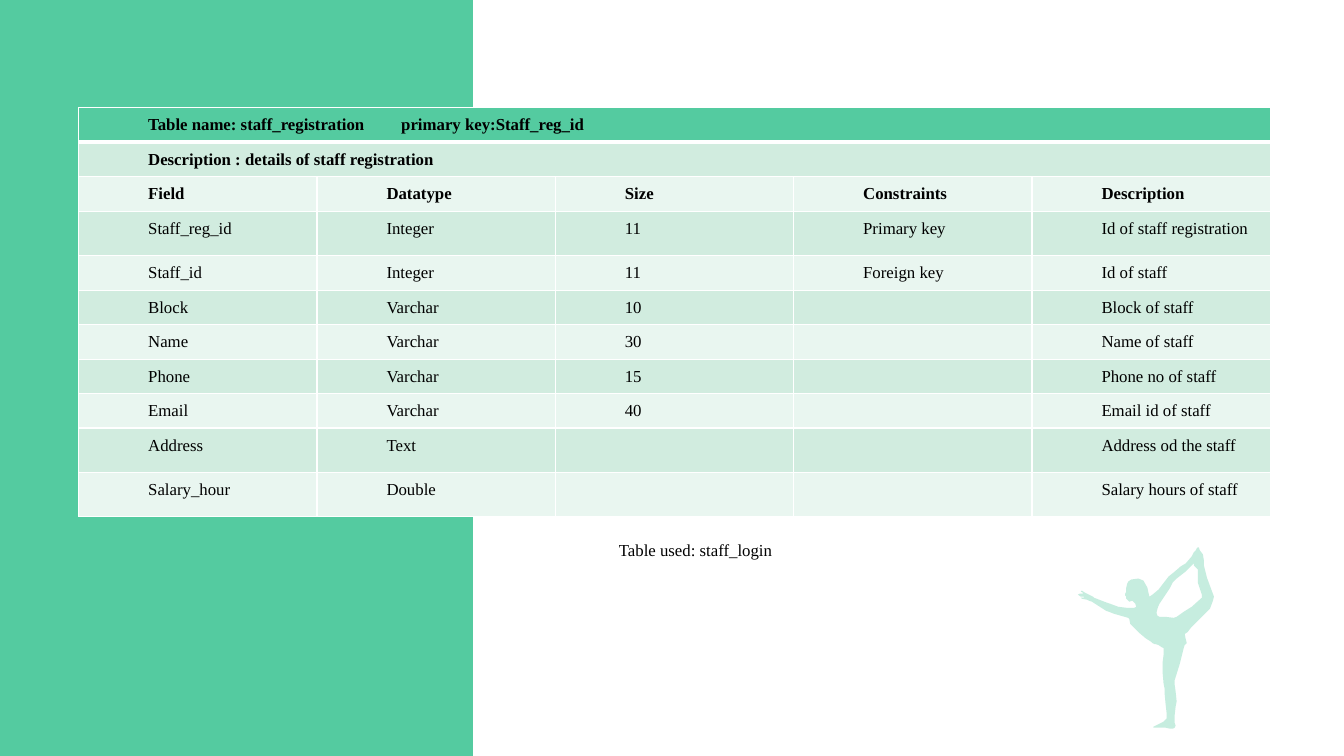
from dataclasses import dataclass

from lxml import etree
from pptx import Presentation
from pptx.dml.color import RGBColor
from pptx.enum import shapes, text
from pptx.oxml.ns import qn
from pptx.util import Inches, Pt

COLORS = {"green": "54CBA0", "band": "D1ECDF", "pale": "E9F6F0",
          "white": "FFFFFF", "ink": "000000"}
FONT = "Times New Roman"


@dataclass
class Field:
    name: str
    datatype: str
    size: str
    constraint: str
    description: str
    height: float
    bold: bool = False

    def values(self) -> list[str]:
        return [self.name, self.datatype, self.size, self.constraint, self.description]


LEFT, TOP, WIDTH, HEIGHT = 0.78, 1.07, 11.82, 4.06
TALL = 0.44
SHORT = (HEIGHT - 3 * TALL) / 8
FIELDS = [
    Field("Field", "Datatype", "Size", "Constraints", "Description", SHORT, True),
    Field("Staff_reg_id", "Integer", "11", "Primary key", "Id of staff registration", TALL),
    Field("Staff_id", "Integer", "11", "Foreign key", "Id of staff", SHORT),
    Field("Block", "Varchar", "10", "", "Block of staff", SHORT),
    Field("Name", "Varchar", "30", "", "Name of staff", SHORT),
    Field("Phone", "Varchar", "15", "", "Phone no of staff", SHORT),
    Field("Email", "Varchar", "40", "", "Email id of staff", SHORT),
    Field("Address", "Text", "", "", "Address od the staff", TALL),
    Field("Salary_hour", "Double", "", "", "Salary hours of staff", TALL),
]
BANNERS = ["Table name: staff_registration\tprimary key:Staff_reg_id",
           "Description : details of staff registration"]

# Dancer outline and the gap inside the raised leg, in hundredths of an inch
DANCER = [
    (1161, 723), (1156, 722), (1149, 722), (1144, 722), (1144, 721), (1146, 720),
    (1154, 716), (1157, 713), (1157, 707), (1156, 698), (1155, 687), (1155, 683),
    (1154, 678), (1153, 666), (1153, 658), (1154, 650), (1154, 643), (1152, 642),
    (1149, 640), (1146, 639), (1145, 639), (1143, 638), (1142, 637), (1136, 633),
    (1130, 628), (1129, 627), (1124, 622), (1121, 619), (1120, 614), (1119, 613),
    (1105, 609), (1100, 607), (1097, 606), (1083, 597), (1080, 596), (1078, 595),
    (1073, 594), (1072, 593), (1075, 593), (1075, 592), (1072, 592), (1069, 590),
    (1071, 589), (1074, 589), (1074, 588), (1072, 587), (1073, 586), (1076, 588),
    (1082, 591), (1084, 592), (1085, 593), (1098, 598), (1101, 599), (1109, 602),
    (1117, 603), (1125, 603), (1127, 602), (1126, 599), (1123, 596), (1120, 597),
    (1118, 595), (1117, 594), (1117, 592), (1116, 591), (1116, 589), (1117, 587),
    (1117, 583), (1118, 579), (1119, 577), (1122, 575), (1129, 574), (1134, 576),
    (1138, 583), (1139, 588), (1140, 592), (1143, 590), (1149, 585), (1159, 572),
    (1164, 568), (1171, 562), (1176, 559), (1182, 552), (1184, 548), (1186, 546),
    (1187, 544), (1188, 543), (1189, 543), (1190, 546), (1193, 550), (1194, 556),
    (1194, 561), (1197, 573), (1204, 592), (1203, 596), (1200, 604), (1190, 614),
    (1181, 623), (1178, 627), (1175, 629), (1176, 634), (1177, 638), (1175, 640),
    (1174, 643), (1173, 647), (1172, 651), (1170, 659), (1165, 675), (1165, 679),
    (1166, 686), (1167, 696), (1166, 701), (1165, 710), (1165, 717), (1166, 720),
    (1165, 722), (1163, 723),
]
LEG_GAP = [
    (1184, 559), (1183, 560), (1176, 567), (1167, 574), (1163, 578), (1160, 584),
    (1150, 599), (1149, 601), (1148, 604), (1147, 608), (1148, 611), (1150, 612),
    (1156, 612), (1164, 613), (1167, 612), (1174, 607), (1182, 602), (1192, 593),
    (1192, 590), (1191, 587), (1188, 578), (1188, 565), (1187, 564), (1184, 561),
]


def rgb(name: str) -> RGBColor:
    return RGBColor.from_string(COLORS[name])


def write(frame, words: str, *, bold: bool = False, spacing: float = 1.43,
          after: float = 0, align=None, tab: float = 0) -> None:
    """Put one indented paragraph into a text frame."""
    paragraph = frame.paragraphs[0]
    paragraph.line_spacing = spacing
    paragraph.space_after = Pt(after)
    paragraph.alignment = align
    properties = paragraph._p.get_or_add_pPr()
    properties.set("marL", str(Inches(0.63)))
    properties.set("indent", str(Inches(-0.01)))
    if tab:
        stops = etree.SubElement(properties, qn("a:tabLst"))
        etree.SubElement(stops, qn("a:tab"), pos=str(Inches(tab)), algn="l")
    run = paragraph.add_run()
    run.text = words
    run.font.name, run.font.size, run.font.bold = FONT, Pt(12), bold
    run.font.color.rgb = rgb("ink")


def format_cell(cell, fill: str, top: float, bottom: float) -> None:
    """Set the insets, white borders (widths in points) and fill of a cell."""
    cell.margin_left = cell.margin_right = Inches(0.07)
    cell.margin_top = cell.margin_bottom = 0
    properties = cell._tc.get_or_add_tcPr()
    for side, width in {"L": 1, "R": 1, "T": top, "B": bottom}.items():
        line = etree.SubElement(properties, qn(f"a:ln{side}"), w=str(Pt(width)))
        solid = etree.SubElement(line, qn("a:solidFill"))
        etree.SubElement(solid, qn("a:srgbClr"), val=COLORS["white"])
    cell.fill.solid()
    cell.fill.fore_color.rgb = rgb(fill)


def paint(shape, color: str) -> None:
    shape.shadow.inherit = False
    shape.fill.solid()
    shape.fill.fore_color.rgb = rgb(color)
    shape.line.fill.background()


def add_staff_table(slide) -> None:
    heights = [SHORT] * len(BANNERS) + [field.height for field in FIELDS]
    staff = slide.shapes.add_table(len(heights), 5, Inches(LEFT), Inches(TOP),
                                   Inches(WIDTH), Inches(HEIGHT)).table
    for column in staff.columns:
        column.width = Inches(WIDTH / 5)
    for index, height in enumerate(heights):
        staff.rows[index].height = Inches(height)
        fill = "green" if index == 0 else "band" if index % 2 else "pale"
        for cell in staff.rows[index].cells:
            format_cell(cell, fill, 3 if index == 1 else 1, 3 if index == 0 else 1)
    for index, banner in enumerate(BANNERS):
        staff.cell(index, 0).merge(staff.cell(index, 4))
        write(staff.cell(index, 0).text_frame, banner, bold=True,
              tab=3.85 if "\t" in banner else 0)
    for index, field in enumerate(FIELDS, len(BANNERS)):
        for column, value in enumerate(field.values()):
            if value:
                write(staff.cell(index, column).text_frame, value, bold=field.bold)


def add_dancer(slide) -> None:
    builder = slide.shapes.build_freeform(*DANCER[0], scale=Inches(0.01))
    builder.add_line_segments(DANCER[1:], close=True)
    builder.move_to(*LEG_GAP[0])
    builder.add_line_segments(LEG_GAP[1:], close=True)
    dancer = builder.convert_to_shape()
    paint(dancer, "green")
    tint = dancer._element.spPr.find(qn("a:solidFill"))[0]
    etree.SubElement(tint, qn("a:alpha"), val="33000")


def main() -> None:
    deck = Presentation()
    deck.slide_width, deck.slide_height = Inches(13.33), Inches(7.5)
    slide = deck.slides.add_slide(deck.slide_layouts[6])

    # Green side panel
    panel = slide.shapes.add_shape(shapes.MSO_SHAPE.RECTANGLE, 0, 0,
                                   Inches(4.69), Inches(7.5))
    paint(panel, "green")

    add_staff_table(slide)

    # Note under the table
    note = slide.shapes.add_textbox(Inches(5.42), Inches(5.28),
                                    Inches(2.37), Inches(0.31)).text_frame
    note.word_wrap = False
    note.auto_size = text.MSO_AUTO_SIZE.SHAPE_TO_FIT_TEXT
    write(note, "Table used: staff_login", spacing=1.15, after=8,
          align=text.PP_ALIGN.JUSTIFY)

    add_dancer(slide)
    deck.save("out.pptx")


if __name__ == "__main__":
    main()
